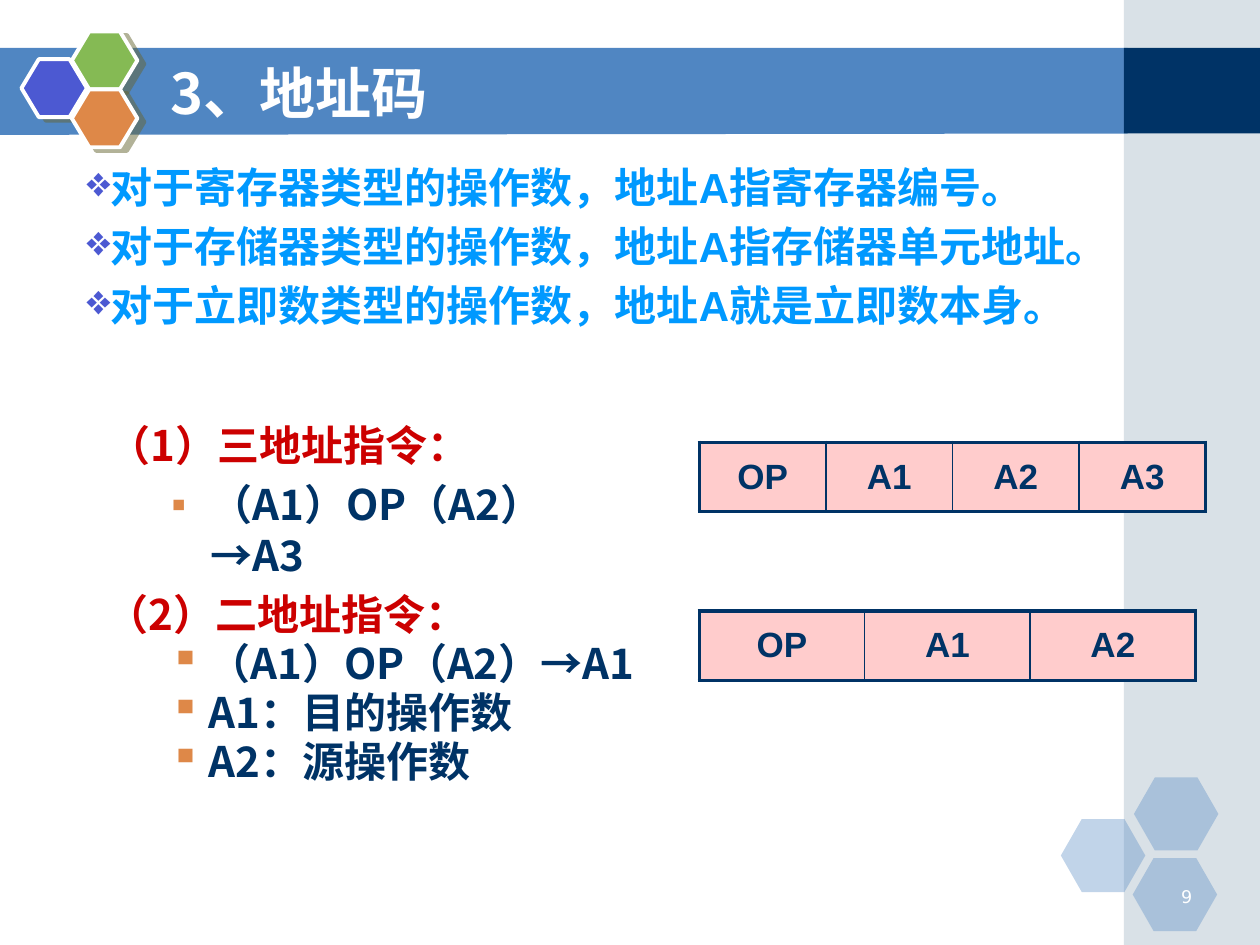
"""Build a slide on address codes in machine instructions."""
from dataclasses import dataclass
from typing import Optional

from lxml import etree
from pptx import Presentation
from pptx.dml.color import RGBColor
from pptx.enum.shapes import MSO_SHAPE
from pptx.enum.text import MSO_ANCHOR, MSO_AUTO_SIZE, PP_ALIGN
from pptx.oxml.ns import qn
from pptx.util import Inches, Pt

RECTANGLE, HEXAGON = MSO_SHAPE.RECTANGLE, MSO_SHAPE.HEXAGON
MIDDLE, TOP = MSO_ANCHOR.MIDDLE, MSO_ANCHOR.TOP
FIXED, GROW = MSO_AUTO_SIZE.NONE, MSO_AUTO_SIZE.SHAPE_TO_FIT_TEXT
LEFT, CENTER, RIGHT = PP_ALIGN.LEFT, PP_ALIGN.CENTER, PP_ALIGN.RIGHT
CHINESE_FONT, LATIN_FONT, NUMBER_FONT = "Noto Sans CJK SC", "Arial", "DejaVu Sans"
COLORS = {
    "band": "5086C2", "side": "A0B5C4", "navy": "003366", "white": "FFFFFF",
    "indigo": "4C59D2", "green": "85BA54", "orange": "DE8848", "shadow": "666633",
    "red": "CC0000", "sky": "0099FF", "pink": "FFCCCC",
}


@dataclass(frozen=True)
class Panel:
    left: float
    top: float
    width: float
    height: float
    color: str
    opacity: int = 100


@dataclass(frozen=True)
class Line:
    text: str
    color: str
    font: str = CHINESE_FONT
    bullet: str = ""
    bullet_color: str = ""
    level: int = 0
    margin: float = 0
    indent: float = 0
    spacing: Optional[float] = None


@dataclass(frozen=True)
class Format:
    top: float
    width: float
    fields: tuple


def rgb(name: str) -> RGBColor:
    return RGBColor.from_string(COLORS[name])


def add_color(parent, name: str, opacity: int = 100) -> None:
    color = etree.SubElement(parent, qn("a:srgbClr"), val=COLORS[name])
    if opacity < 100:
        etree.SubElement(color, qn("a:alpha"), val=str(opacity * 1000))


def draw_panel(slide, panel: Panel, kind=RECTANGLE):
    shape = slide.shapes.add_shape(kind, Inches(panel.left), Inches(panel.top),
                                   Inches(panel.width), Inches(panel.height))
    shape.shadow.inherit = False
    shape.fill.solid()
    shape.fill.fore_color.rgb = rgb(panel.color)
    if panel.opacity < 100:
        color = shape.element.spPr.find(qn("a:solidFill")).find(qn("a:srgbClr"))
        etree.SubElement(color, qn("a:alpha"), val=str(panel.opacity * 1000))
    shape.line.fill.background()
    return shape


def draw_hexagon(slide, panel: Panel, adjustment: float):
    shape = draw_panel(slide, panel, HEXAGON)
    shape.adjustments[0] = adjustment
    return shape


def draw_emblem(slide, panel: Panel) -> None:
    shape = draw_hexagon(slide, panel, 0.3)
    shape.line.color.rgb = rgb("white")
    shape.line.width = Pt(2.25)
    effects = shape.element.spPr.find(qn("a:effectLst"))
    shadow = etree.SubElement(effects, qn("a:outerShdw"), blurRad="0",
                              dist=str(Pt(4.5)), dir=str(27 * 60000),
                              algn="ctr", rotWithShape="0")
    add_color(shadow, "shadow", 50)


def draw_title_band(slide) -> None:
    builder = slide.shapes.build_freeform(Inches(-0.01), Inches(0.38))
    corners = ((8.95, 0.38), (8.95, 1.06), (-0.01, 1.07))
    builder.add_line_segments([(Inches(x), Inches(y)) for x, y in corners])
    band = builder.convert_to_shape()
    band.shadow.inherit = False
    band.fill.solid()
    band.fill.fore_color.rgb = rgb("band")
    band.line.fill.background()


def place(shape, left: float, top: float, width: float, height: float) -> None:
    shape.left, shape.top = Inches(left), Inches(top)
    shape.width, shape.height = Inches(width), Inches(height)
    shape.element.getparent().append(shape.element)


def add_text_box(slide, left: float, top: float, width: float, height: float):
    box = slide.shapes.add_textbox(Inches(left), Inches(top), Inches(width), Inches(height))
    box.text_frame.word_wrap = True
    return box


def add_run(paragraph, text: str, size: float, color: str, font: str, bold: bool = True) -> None:
    run = paragraph.add_run()
    run.text = text
    run.font.size, run.font.bold, run.font.name = Pt(size), bold, font
    run.font.color.rgb = rgb(color)
    latin = run.font._element.find(qn("a:latin"))
    latin.addnext(latin.makeelement(qn("a:ea"), typeface=CHINESE_FONT))


def write_lines(frame, lines: list[Line]) -> None:
    for number, line in enumerate(lines):
        paragraph = frame.add_paragraph() if number else frame.paragraphs[0]
        paragraph.level = line.level
        paragraph.alignment = LEFT
        properties = paragraph._p.get_or_add_pPr()
        properties.set("marL", str(Inches(line.margin)))
        properties.set("indent", str(Inches(line.indent)))
        if line.bullet:
            add_color(etree.SubElement(properties, qn("a:buClr")), line.bullet_color)
            etree.SubElement(properties, qn("a:buChar"), char=line.bullet)
        else:
            etree.SubElement(properties, qn("a:buNone"))
        paragraph.space_before = Pt(5 if number else 0)
        if line.spacing:
            paragraph.line_spacing = line.spacing
        add_run(paragraph, line.text, 24, line.color, line.font)


def instruction_lines(heading: str, details: list[str],
                      spacing: Optional[float] = None) -> list[Line]:
    return [Line(heading, "red", margin=0.38, indent=-0.38, spacing=spacing)] + [
        Line(detail, "navy", bullet="▪", bullet_color="orange", level=1,
             margin=0.81, indent=-0.31, spacing=spacing) for detail in details]


def set_border(cell, side: str, width: float) -> None:
    properties = cell._tc.get_or_add_tcPr()
    line = etree.SubElement(properties, qn(f"a:{side}"), w=str(Pt(width)))
    add_color(etree.SubElement(line, qn("a:solidFill")), "navy")


def draw_format(slide, layout: Format) -> None:
    count = len(layout.fields)
    table = slide.shapes.add_table(1, count, Inches(5.55), Inches(layout.top),
                                   Inches(layout.width), Inches(0.55)).table
    table.first_row = table.horz_banding = False
    for column, field in enumerate(layout.fields):
        table.columns[column].width = Inches(layout.width / count)
        cell = table.cell(0, column)
        set_border(cell, "lnL", 1 if column else 2.25)
        set_border(cell, "lnR", 1 if column < count - 1 else 2.25)
        set_border(cell, "lnT", 2.25)
        set_border(cell, "lnB", 2.25)
        cell.fill.solid()
        cell.fill.fore_color.rgb = rgb("pink")
        cell.vertical_anchor = MIDDLE
        paragraph = cell.text_frame.paragraphs[0]
        paragraph.alignment = CENTER
        add_run(paragraph, field, 20, "navy", LATIN_FONT)


def draw_background(slide) -> None:
    draw_title_band(slide)
    draw_panel(slide, Panel(8.92, 0, 1.08, 7.5, "side", 40))
    draw_panel(slide, Panel(8.92, 0.38, 1.08, 0.68, "navy"))
    for left, top in ((8.42, 6.5), (9, 6.17), (8.99, 6.81)):
        draw_hexagon(slide, Panel(left, top, 0.67, 0.58, "band", 35), 0.286)
    for left, top, color in ((0.17, 0.47, "indigo"), (0.57, 0.25, "green"), (0.57, 0.71, "orange")):
        draw_emblem(slide, Panel(left, top, 0.52, 0.46, color))


def main() -> None:
    presentation = Presentation()
    presentation.slide_width, presentation.slide_height = Inches(10), Inches(7.5)
    slide = presentation.slides.add_slide(presentation.slide_layouts[1])
    title, body = slide.shapes.title, slide.placeholders[1]
    draw_background(slide)

    page_number = add_text_box(slide, 9.06, 6.98, 0.5, 0.25).text_frame.paragraphs[0]
    page_number.alignment = RIGHT
    add_run(page_number, "9", 10, "white", NUMBER_FONT, bold=False)

    place(title, 1.25, 0.42, 7.33, 0.62)
    title.text_frame.vertical_anchor = MIDDLE
    title.text_frame.auto_size = FIXED
    title.text_frame.paragraphs[0].alignment = LEFT
    add_run(title.text_frame.paragraphs[0], "3、地址码", 32, "white", CHINESE_FONT)

    place(body, 0.76, 3.28, 4.32, 1.1)
    body.text_frame.vertical_anchor = TOP
    body.text_frame.auto_size = FIXED
    write_lines(body.text_frame, instruction_lines("（1）三地址指令：", ["（A1）OP（A2）→A3"]))
    draw_format(slide, Format(3.51, 4.02, ("OP", "A1", "A2", "A3")))

    two_address = add_text_box(slide, 0.75, 4.7, 4.65, 1.81)
    details = ["（A1）OP（A2）→A1", "A1：目的操作数", "A2：源操作数"]
    write_lines(two_address.text_frame, instruction_lines("（2）二地址指令：", details, 0.8))
    draw_format(slide, Format(4.85, 3.94, ("OP", "A1", "A2")))

    operands = add_text_box(slide, 0.59, 1.23, 8.53, 1.47).text_frame
    operands.word_wrap = False
    operands.auto_size = GROW
    meanings = (("寄存器", "指寄存器编号"), ("存储器", "指存储器单元地址"), ("立即数", "就是立即数本身"))
    write_lines(operands, [Line(f"对于{kind}类型的操作数，地址A{meaning}。", "sky", LATIN_FONT, "❖", "indigo")
                           for kind, meaning in meanings])
    presentation.save("out.pptx")


if __name__ == "__main__":
    main()
